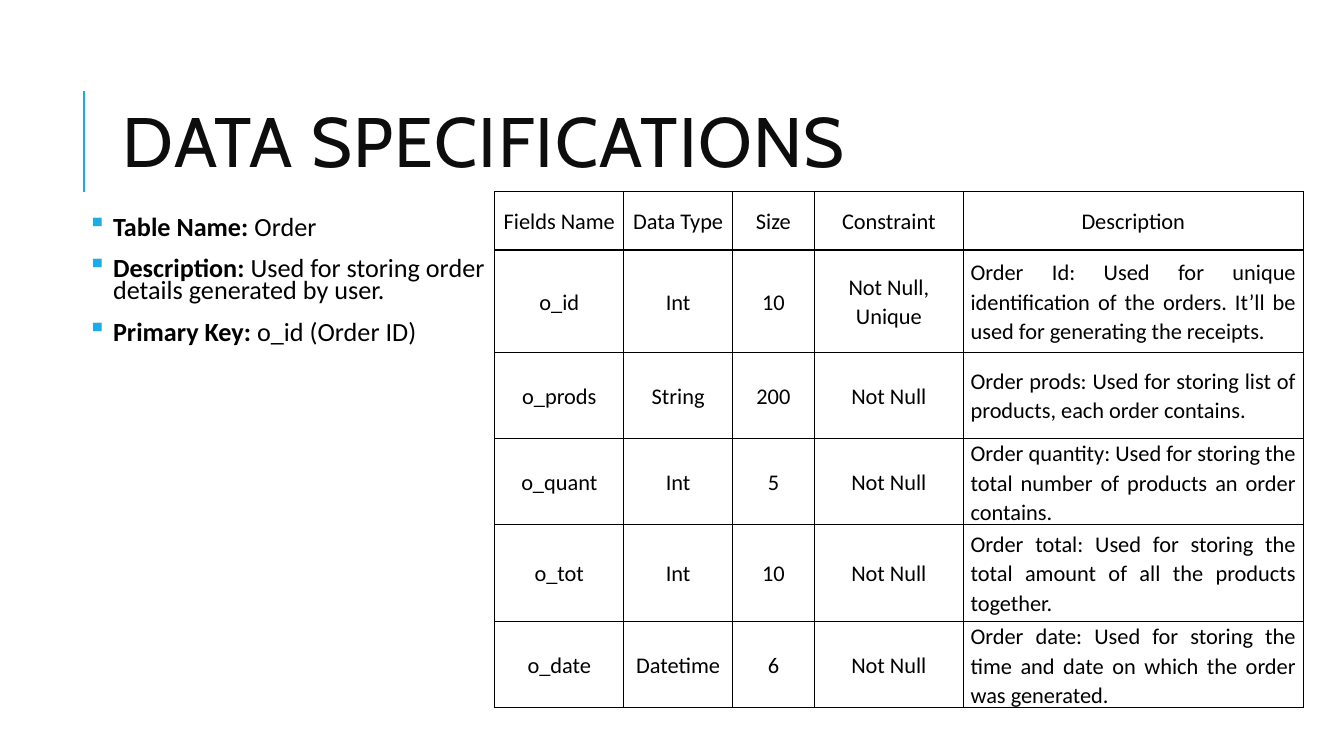
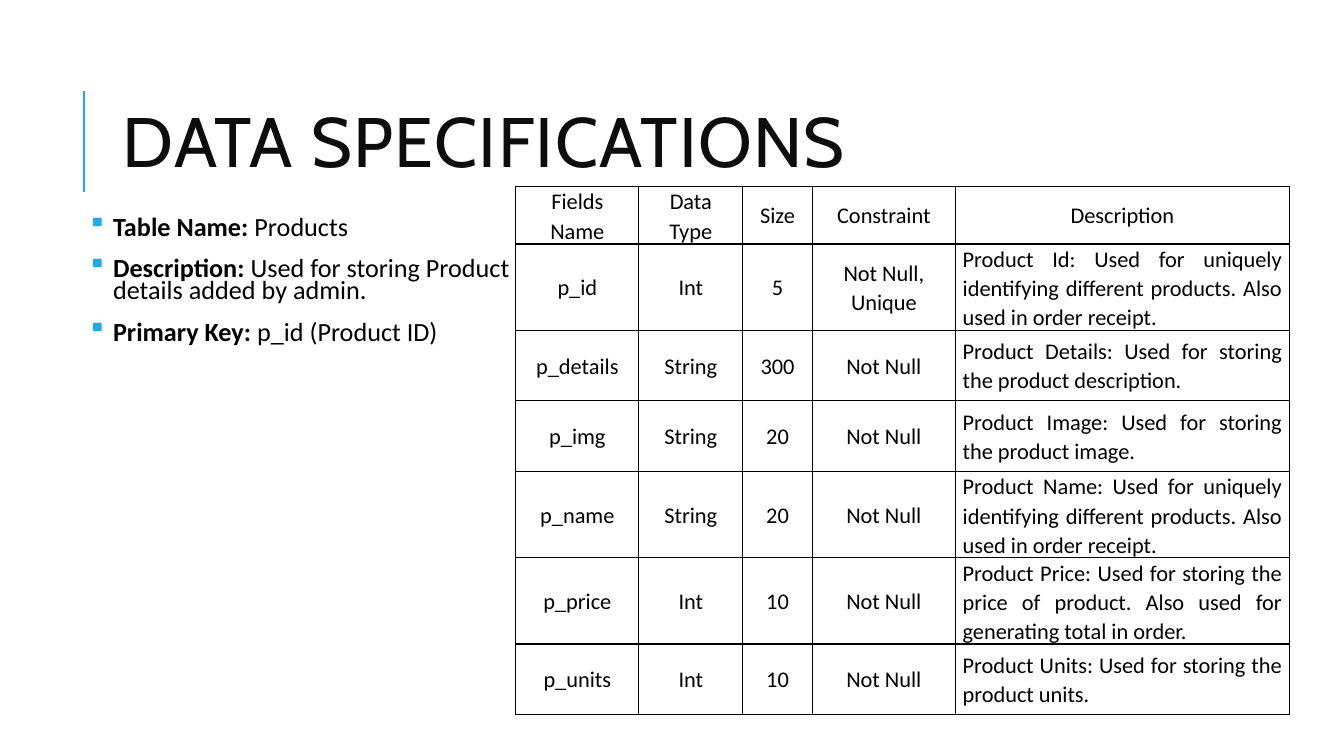
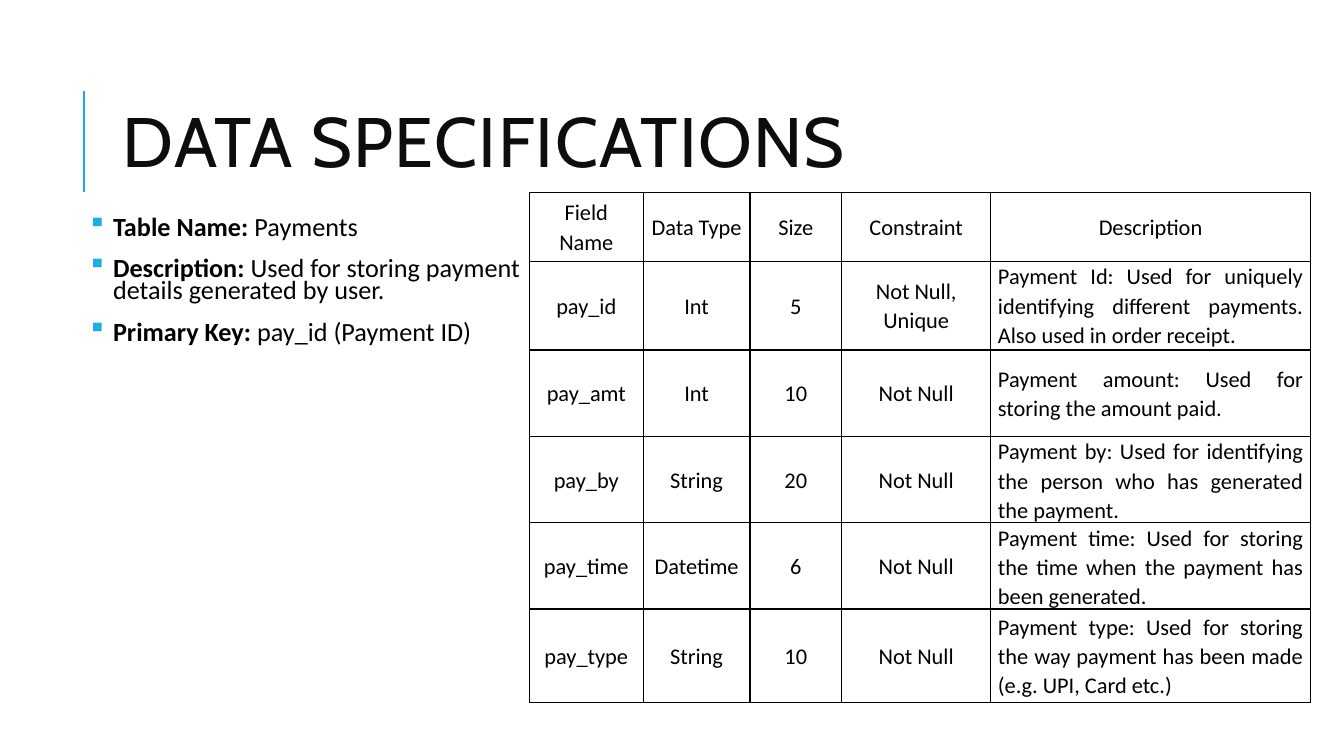
from lxml.etree import SubElement
from pptx import Presentation
from pptx.dml.color import RGBColor
from pptx.enum.shapes import MSO_CONNECTOR
from pptx.enum.text import MSO_ANCHOR, MSO_AUTO_SIZE, PP_ALIGN
from pptx.oxml import parse_xml
from pptx.oxml.ns import nsdecls, qn
from pptx.util import Cm, Pt

COLORS = {"accent": "1CADE4", "title": "0D0D0D", "text": "000000", "border": "000000"}
TITLE_FONT = "Cabin"
BODY_FONT = "Calibri"
TITLE = "DATA SPECIFICATIONS"
TITLE_ONLY = 5


class SpecDeck:
    def __init__(self):
        self.deck = Presentation()
        self.deck.slide_width = Cm(33.87)
        self.deck.slide_height = Cm(19.05)
        self.slide = None

    def set_font(self, paragraph, name, size, color):
        paragraph.font.name = name
        paragraph.font.size = Pt(size)
        paragraph.font.color.rgb = RGBColor.from_string(COLORS[color])

    def add_slide(self):
        self.slide = self.deck.slides.add_slide(self.deck.slide_layouts[TITLE_ONLY])
        self.add_accent_line()
        self.add_title()

    def add_accent_line(self):
        accent = self.slide.shapes.add_connector(
            MSO_CONNECTOR.STRAIGHT, Cm(2.12), Cm(4.84), Cm(2.12), Cm(2.3))
        accent.line.color.rgb = RGBColor.from_string(COLORS["accent"])
        accent.line.width = Pt(1.5)
        SubElement(accent._element.spPr, qn("a:effectLst"))

    def add_title(self):
        title = self.slide.shapes.title
        title.left, title.top, title.width, title.height = Cm(2.84), Cm(1.63), Cm(27), Cm(4.17)
        frame = title.text_frame
        frame.text = TITLE
        frame.auto_size = MSO_AUTO_SIZE.NONE
        frame.vertical_anchor = MSO_ANCHOR.MIDDLE
        heading = frame.paragraphs[0]
        heading.alignment = PP_ALIGN.LEFT
        heading.line_spacing = 0.8
        self.set_font(heading, TITLE_FONT, 50, "title")
        heading.runs[0]._r.get_or_add_rPr().set("spc", "100")

    def add_bullet(self, paragraph):
        properties = paragraph._p.get_or_add_pPr()
        properties.set("marL", str(Cm(0.64)))
        properties.set("indent", str(-Cm(0.64)))
        color = SubElement(properties, qn("a:buClr"))
        SubElement(color, qn("a:srgbClr"), val=COLORS["accent"])
        SubElement(properties, qn("a:buChar"), char="▪")

    def add_summary(self, facts):
        summary = self.slide.shapes.add_textbox(Cm(2.08), Cm(5.38), Cm(11.25), Cm(3.68))
        frame = summary.text_frame
        frame.word_wrap = True
        frame.margin_left = frame.margin_right = Cm(0.13)
        frame.margin_top = frame.margin_bottom = Cm(0.13)
        for index, (label, value) in enumerate(facts.items()):
            fact = frame.add_paragraph() if index else frame.paragraphs[0]
            self.add_bullet(fact)
            fact.line_spacing = 0.7
            fact.space_before = Pt(12 if index else 0)
            fact.space_after = Pt(2)
            self.set_font(fact, BODY_FONT, 18.7, "text")
            for text, bold in ((f"{label}: ", True), (value, False)):
                run = fact.add_run()
                run.text = text
                run.font.bold = bold

    def add_field_table(self, left, top, widths, heights, records):
        table = self.slide.shapes.add_table(
            len(heights), len(widths), Cm(left), Cm(top),
            Cm(sum(widths)), Cm(sum(heights))).table
        table.first_row = False
        table.horz_banding = False
        for column, width in zip(table.columns, widths):
            column.width = Cm(width)
        for row, height in zip(table.rows, heights):
            row.height = Cm(height)
        for row_index, record in enumerate(records):
            for column_index, text in enumerate(record):
                is_description = row_index > 0 and column_index == len(widths) - 1
                alignment = PP_ALIGN.JUSTIFY if is_description else PP_ALIGN.CENTER
                self.fill_cell(table.cell(row_index, column_index), text, alignment)

    def fill_cell(self, cell, text, alignment):
        cell.text = text
        cell.vertical_anchor = MSO_ANCHOR.MIDDLE
        cell.margin_left = cell.margin_right = Cm(0.18)
        cell.margin_top = cell.margin_bottom = Cm(0)
        cell.fill.background()
        entry = cell.text_frame.paragraphs[0]
        entry.alignment = alignment
        entry.line_spacing = 1.07
        self.set_font(entry, BODY_FONT, 16, "text")
        properties = cell._tc.get_or_add_tcPr()
        for index, side in enumerate(("lnL", "lnR", "lnT", "lnB")):
            properties.insert(index, parse_xml(
                f'<a:{side} {nsdecls("a")} w="{Pt(1)}"><a:solidFill>'
                f'<a:srgbClr val="{COLORS["border"]}"/></a:solidFill></a:{side}>'))

    def save(self):
        self.deck.save("out.pptx")


HEADER = ("Data Type", "Size", "Constraint", "Description")

SPECIFICATIONS = [
    {
        "facts": {
            "Table Name": "Order",
            "Description": "Used for storing order details generated by user.",
            "Primary Key": "o_id (Order ID)",
        },
        "left": 12.47,
        "top": 4.83,
        "widths": (3.25, 2.74, 2.06, 3.76, 8.56),
        "heights": (1.47, 2.59, 2.16, 1.88, 2.44, 2.16),
        "records": [
            ("Fields Name", *HEADER),
            ("o_id", "Int", "10", "Not Null, Unique",
             "Order Id: Used for unique identification of the orders. "
             "It’ll be used for generating the receipts."),
            ("o_prods", "String", "200", "Not Null",
             "Order prods: Used for storing list of products, each order contains."),
            ("o_quant", "Int", "5", "Not Null",
             "Order quantity: Used for storing the total number of products an order contains."),
            ("o_tot", "Int", "10", "Not Null",
             "Order total: Used for storing the total amount of all the products together."),
            ("o_date", "Datetime", "6", "Not Null",
             "Order date: Used for storing the time and date on which the order was generated."),
        ],
    },
    {
        "facts": {
            "Table Name": "Products",
            "Description": "Used for storing Product details added by admin.",
            "Primary Key": "p_id (Product ID)",
        },
        "left": 13,
        "top": 4.7,
        "widths": (3.1, 2.62, 1.75, 3.61, 8.41),
        "heights": (1.32, 1.78, 1.78, 1.78, 2.16, 2.01, 1.78),
        "records": [
            ("Fields Name", *HEADER),
            ("p_id", "Int", "5", "Not Null, Unique",
             "Product Id: Used for uniquely identifying different products. "
             "Also used in order receipt."),
            ("p_details", "String", "300", "Not Null",
             "Product Details: Used for storing the product description."),
            ("p_img", "String", "20", "Not Null",
             "Product Image: Used for storing the product image."),
            ("p_name", "String", "20", "Not Null",
             "Product Name: Used for uniquely identifying different products. "
             "Also used in order receipt."),
            ("p_price", "Int", "10", "Not Null",
             "Product Price: Used for storing the price of product. "
             "Also used for generating total in order."),
            ("p_units", "Int", "10", "Not Null",
             "Product Units: Used for storing the product units."),
        ],
    },
    {
        "facts": {
            "Table Name": "Payments",
            "Description": "Used for storing payment details generated by user.",
            "Primary Key": "pay_id (Payment ID)",
        },
        "left": 13.34,
        "top": 4.85,
        "widths": (2.87, 2.69, 2.31, 3.76, 8.05),
        "heights": (1.73, 2.24, 2.18, 2.13, 2.13, 2.36),
        "records": [
            ("Field Name", *HEADER),
            ("pay_id", "Int", "5", "Not Null, Unique",
             "Payment Id: Used for uniquely identifying different payments. "
             "Also used in order receipt."),
            ("pay_amt", "Int", "10", "Not Null",
             "Payment amount: Used for storing the amount paid."),
            ("pay_by", "String", "20", "Not Null",
             "Payment by: Used for identifying the person who has generated the payment."),
            ("pay_time", "Datetime", "6", "Not Null",
             "Payment time: Used for storing the time when the payment has been generated."),
            ("pay_type", "String", "10", "Not Null",
             "Payment type: Used for storing the way payment has been made "
             "(e.g. UPI, Card etc.)"),
        ],
    },
]


def main():
    deck = SpecDeck()
    for specification in SPECIFICATIONS:
        deck.add_slide()
        deck.add_summary(specification["facts"])
        deck.add_field_table(
            specification["left"], specification["top"], specification["widths"],
            specification["heights"], specification["records"])
    deck.save()


if __name__ == "__main__":
    main()
